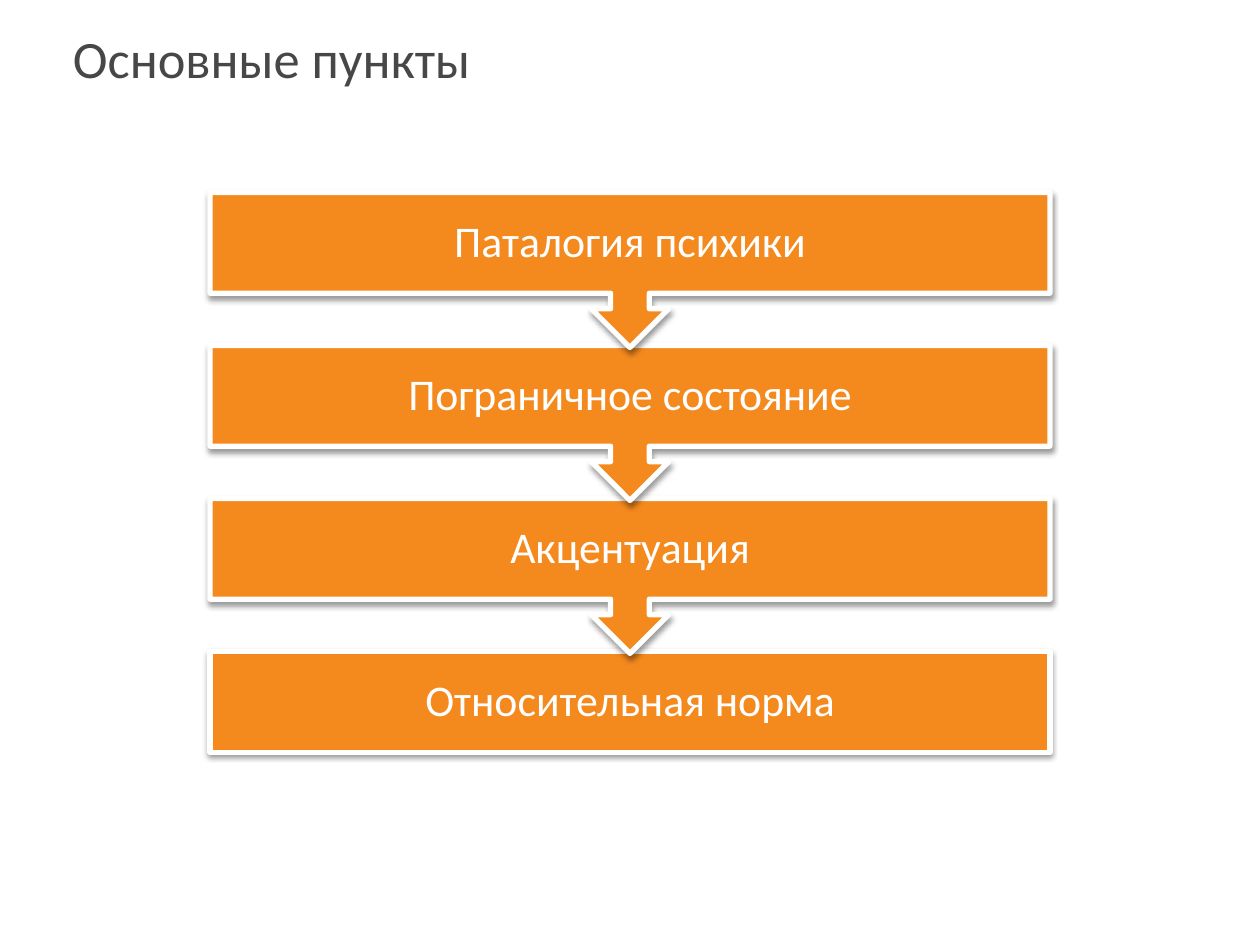
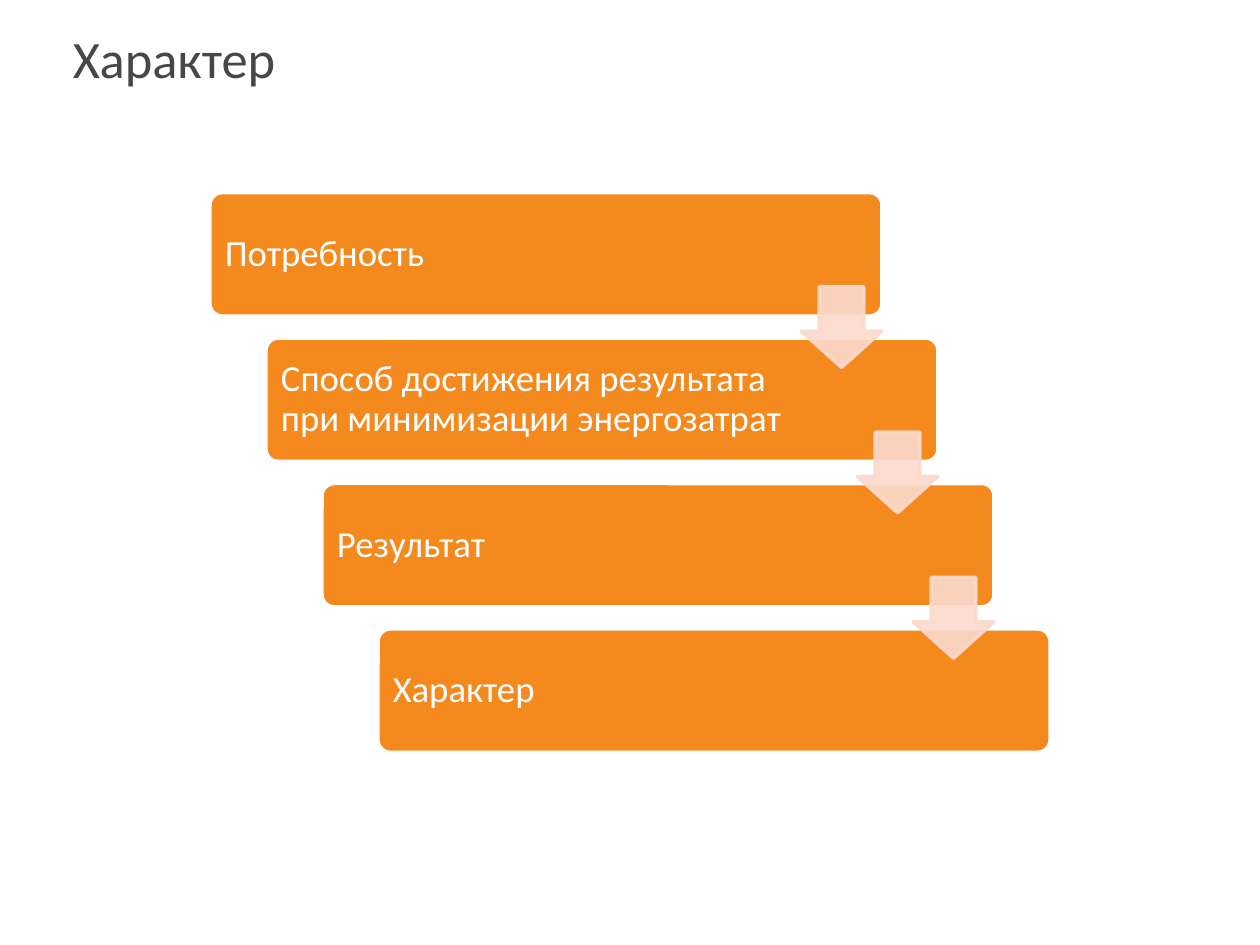
from lxml.etree import SubElement
from pptx import Presentation
from pptx.dml.color import RGBColor
from pptx.enum.shapes import MSO_SHAPE
from pptx.enum.text import MSO_ANCHOR, PP_ALIGN
from pptx.oxml.ns import qn
from pptx.util import Inches, Pt

ORANGE = RGBColor(0xF4, 0x89, 0x1E)
PEACH = RGBColor(0xFB, 0xDA, 0xCD)
WHITE = RGBColor(0xFF, 0xFF, 0xFF)
GRAY = RGBColor(0x47, 0x47, 0x47)
FONT = "Calibri"

# The slide is a grid of 24 columns by 18 square rows.
CELL = Inches(10) // 24
COLUMNS, ROWS = 24, 18
DIAGRAM_LEFT, DIAGRAM_TOP = 4, 3.67
DIAGRAM_WIDTH, DIAGRAM_HEIGHT = 16, 10.66

LEVELS = ["Паталогия психики", "Пограничное состояние", "Акцентуация", "Относительная норма"]
STEPS = [
    "Потребность",
    "Способ достижения результата при минимизации энергозатрат",
    "Результат",
    "Характер",
]


def cells(count):
    return round(count * CELL)


class SlideBuilder:
    def __init__(self, deck):
        self.deck = deck
        self.slide = None

    def start_slide(self, title):
        self.slide = self.deck.slides.add_slide(self.deck.slide_layouts[5])
        box = self.slide.shapes.title
        box.left, box.top = cells(1.15), cells(0.19)
        box.width, box.height = cells(22.06), cells(1.8)
        self.label(box, title, 30, GRAY)

    def label(self, box, text, size, color, align=PP_ALIGN.LEFT, spacing=1.0):
        frame = box.text_frame
        frame.word_wrap = True
        frame.vertical_anchor = MSO_ANCHOR.MIDDLE
        frame.text = text
        para = frame.paragraphs[0]
        para.alignment, para.line_spacing = align, spacing
        font = para.runs[0].font
        font.name, font.size, font.color.rgb = FONT, Pt(size), color

    def shape(self, kind, left, top, width, height, fill=ORANGE, line=WHITE, weight=2):
        shape = self.slide.shapes.add_shape(
            kind, cells(left), cells(top), cells(width), cells(height))
        shape.shadow.inherit = False
        shape.fill.solid()
        shape.fill.fore_color.rgb = fill
        shape.line.color.rgb = line
        shape.line.width = Pt(weight)
        return shape

    def level(self, kind, top, height, text):
        """Add a full-width box of the column, with its soft shadow."""
        box = self.shape(kind, DIAGRAM_LEFT, top, DIAGRAM_WIDTH, height, weight=3)
        effects = box.element.spPr.find(qn("a:effectLst"))
        shadow = SubElement(effects, qn("a:outerShdw"), blurRad=str(Pt(3.1)),
                            dist=str(Pt(1.6)), dir="5400000", rotWithShape="0")
        color = SubElement(shadow, qn("a:srgbClr"), val="000000")
        SubElement(color, qn("a:alpha"), val="38000")
        self.label(box, text, 25, WHITE, PP_ALIGN.CENTER, 0.9)

    def step(self, left, top, width, height, text):
        box = self.shape(MSO_SHAPE.ROUNDED_RECTANGLE, left, top, width, height)
        box.adjustments[0] = 0.1
        box.text_frame.margin_left = Inches(0.09)
        box.text_frame.margin_right = Inches(1.16)
        self.label(box, text, 21, WHITE, spacing=0.9)

    def arrow(self, left, top, size):
        arrow = self.shape(MSO_SHAPE.DOWN_ARROW, left, top, size, size, PEACH, PEACH)
        arrow.adjustments[0], arrow.adjustments[1] = 0.55, 0.45
        for color in arrow.element.spPr.iter(qn("a:srgbClr")):
            SubElement(color, qn("a:alpha"), val="90000")


def build_levels(builder):
    builder.start_slide("Основные пункты")
    box_height, callout_height = 1.92, 2.95
    last = len(LEVELS) - 1
    pitch = (DIAGRAM_HEIGHT - box_height) / last
    # From the bottom up, so that each arrow tip lies over the next box.
    for index in range(last, -1, -1):
        top = DIAGRAM_TOP + index * pitch
        if index == last:
            builder.level(MSO_SHAPE.RECTANGLE, top, box_height, LEVELS[index])
        else:
            builder.level(MSO_SHAPE.DOWN_ARROW_CALLOUT, top, callout_height, LEVELS[index])


def build_steps(builder):
    builder.start_slide("Характер")
    width, height, arrow_size = 12.8, 2.35, 1.54
    gaps = len(STEPS) - 1
    shift = (DIAGRAM_WIDTH - width) / gaps
    pitch = (DIAGRAM_HEIGHT - height) / gaps
    corners = [(DIAGRAM_LEFT + i * shift, DIAGRAM_TOP + i * pitch) for i in range(len(STEPS))]
    for (left, top), text in zip(corners, STEPS):
        builder.step(left, top, width, height, text)
    for left, top in corners[:-1]:
        gap_middle = top + (height + pitch) / 2
        builder.arrow(left + width - arrow_size, gap_middle - arrow_size / 2, arrow_size)


def main():
    deck = Presentation()
    deck.slide_width, deck.slide_height = COLUMNS * CELL, ROWS * CELL
    builder = SlideBuilder(deck)
    build_levels(builder)
    build_steps(builder)
    deck.save("out.pptx")


if __name__ == "__main__":
    main()
